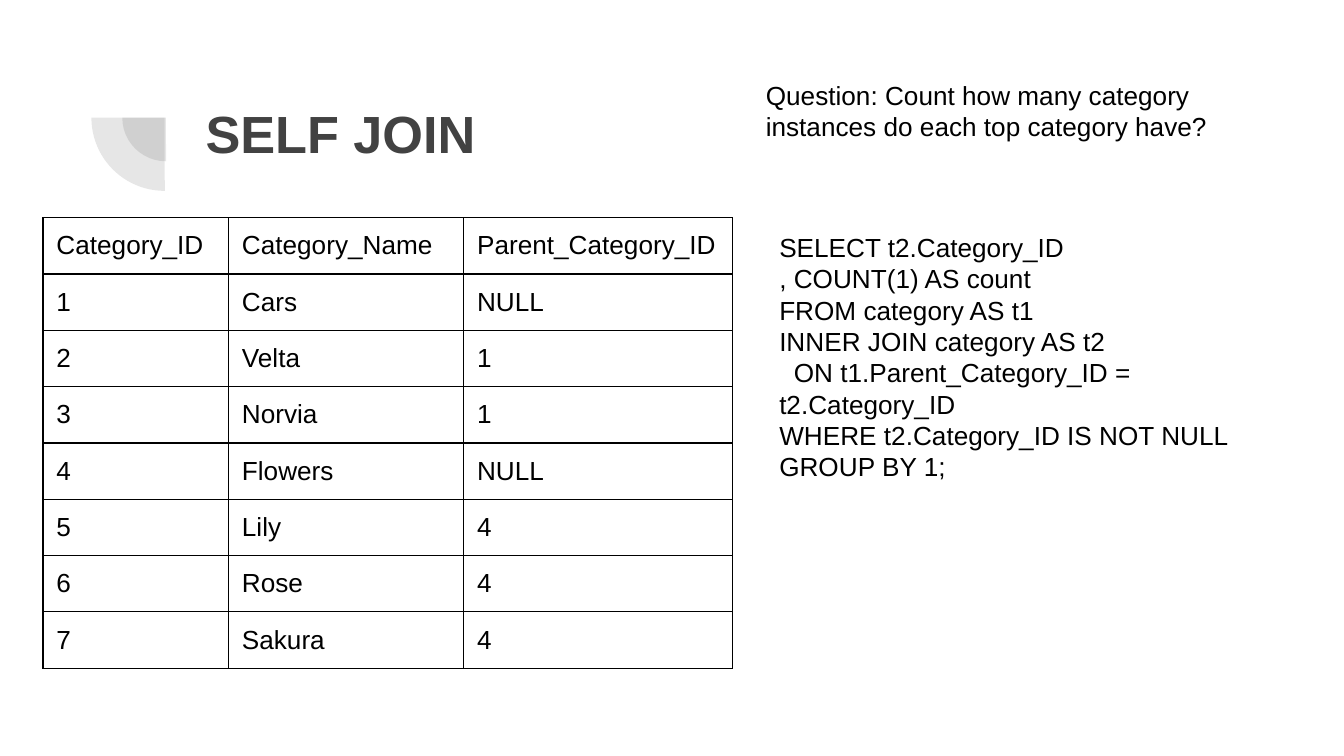
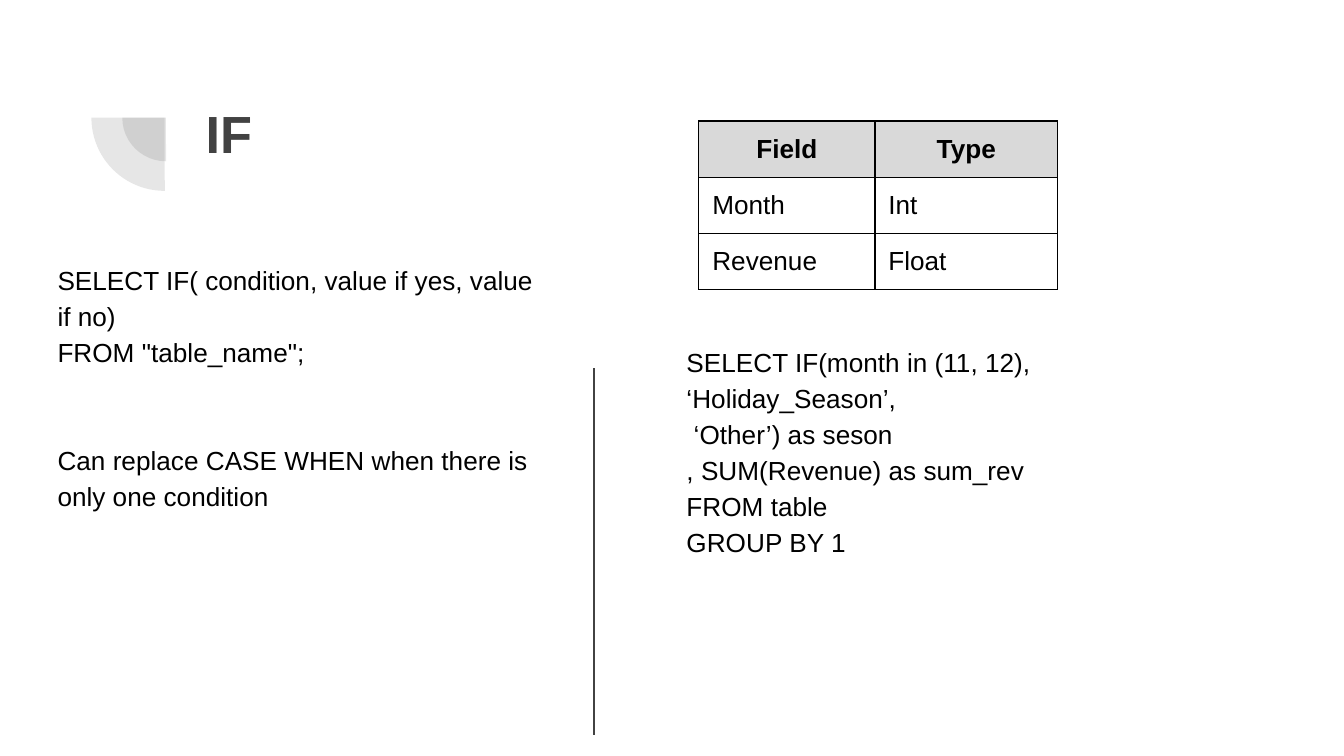
import dataclasses
import typing

import lxml.etree
import pptx
import pptx.dml.color
import pptx.enum.shapes
import pptx.enum.text
import pptx.oxml.ns
import pptx.presentation
import pptx.slide
import pptx.table
import pptx.text.text
import pptx.util

# Shared look
FONT = "Arial"
GREY, BLACK, WHITE, HEADER = "424242", "000000", "FFFFFF", "D9D9D9"
TITLE_SIZE, TEXT_SIZE = 28, 14
INSET = 1  # grid units
ROW_HEIGHT = 4.18
LOOSE = 1.15

# The slide is a grid of 100 columns by 56.25 rows of square units
WIDTH, HEIGHT = pptx.util.Inches(10), pptx.util.Inches(5.625)
UNIT = WIDTH / 100


@dataclasses.dataclass(frozen=True)
class Area:
    left: float
    top: float
    width: float
    height: float

    def lengths(self) -> tuple[int, int, int, int]:
        return grid(self.left), grid(self.top), grid(self.width), grid(self.height)


@dataclasses.dataclass(frozen=True)
class Line:
    text: str
    indent: float = 0  # first-line indent in grid units
    gap: float = 0  # points above


@dataclasses.dataclass(frozen=True)
class TextBlock:
    area: Area
    lines: tuple[Line, ...]
    spacing: float = 1.0


@dataclasses.dataclass(frozen=True)
class Grid:
    left: float
    top: float
    columns: tuple[float, ...]
    rows: tuple[tuple[str, ...], ...]
    shaded_header: bool = False


TITLE_AREA = Area(14.3, 6.5, 76.9, 10.9)
PIES = (Area(9.1, 5.5, 6.5, 6.5), Area(6.8, 3.3, 10.9, 10.9))


def grid(units: float) -> int:
    return round(units * UNIT)


def colour(value: str) -> pptx.dml.color.RGBColor:
    return pptx.dml.color.RGBColor.from_string(value)


def child(parent: typing.Any, tag: str, **attributes: str) -> typing.Any:
    element = lxml.etree.SubElement(parent, pptx.oxml.ns.qn(tag))
    for name, value in attributes.items():
        element.set(name, value)
    return element


def set_font(para: typing.Any, size: float, value: str, bold: bool = False) -> None:
    para.font.name = FONT
    para.font.size = pptx.util.Pt(size)
    para.font.bold = bold
    para.font.color.rgb = colour(value)


def set_frame(frame: pptx.text.text.TextFrame) -> None:
    frame.word_wrap = True
    frame.auto_size = pptx.enum.text.MSO_AUTO_SIZE.NONE
    frame.vertical_anchor = pptx.enum.text.MSO_ANCHOR.TOP
    frame.margin_left = frame.margin_right = grid(INSET)
    frame.margin_top = frame.margin_bottom = grid(INSET)


def add_pie(page: pptx.slide.Slide, area: Area) -> None:
    pie = page.shapes.add_shape(pptx.enum.shapes.MSO_SHAPE.PIE, *area.lengths())
    pie.adjustments[0], pie.adjustments[1] = 107.93, 162
    pie.rotation = 270
    pie.shadow.inherit = False
    pie.line.fill.background()
    pie.fill.solid()
    pie.fill.fore_color.rgb = colour(GREY)
    tint = pie.fill._xPr.find(".//" + pptx.oxml.ns.qn("a:srgbClr"))
    child(tint, "a:alpha", val="13000")


def add_page(deck: pptx.presentation.Presentation, heading: str) -> pptx.slide.Slide:
    page = deck.slides.add_slide(deck.slide_layouts[5])
    page.background.fill.solid()
    page.background.fill.fore_color.rgb = colour(WHITE)
    for area in PIES:
        add_pie(page, area)
    title = page.shapes.title
    title.left, title.top, title.width, title.height = TITLE_AREA.lengths()
    title.text_frame.text = heading
    set_frame(title.text_frame)
    para = title.text_frame.paragraphs[0]
    para.alignment = pptx.enum.text.PP_ALIGN.LEFT
    set_font(para, TITLE_SIZE, GREY, bold=True)
    return page


def add_text(page: pptx.slide.Slide, block: TextBlock) -> None:
    box = page.shapes.add_textbox(*block.area.lengths())
    frame = box.text_frame
    set_frame(frame)
    for index, line in enumerate(block.lines):
        para = frame.add_paragraph() if index else frame.paragraphs[0]
        para.text = line.text
        para.line_spacing = block.spacing
        para.space_before = pptx.util.Pt(line.gap)
        if line.indent:
            para._p.get_or_add_pPr().set("indent", str(grid(line.indent)))
        set_font(para, TEXT_SIZE, BLACK)


def add_borders(cell: pptx.table._Cell) -> None:
    properties = cell._tc.get_or_add_tcPr()
    for index, side in enumerate(("L", "R", "T", "B")):
        edge = child(properties, f"a:ln{side}", w=str(pptx.util.Pt(0.75)))
        child(child(edge, "a:solidFill"), "a:srgbClr", val=BLACK)
        properties.insert(index, edge)  # borders precede the fill


def add_table(page: pptx.slide.Slide, data: Grid) -> None:
    area = Area(data.left, data.top, sum(data.columns), ROW_HEIGHT * len(data.rows))
    table = page.shapes.add_table(len(data.rows), len(data.columns), *area.lengths()).table
    table.first_row = table.horz_banding = False
    for column, width in zip(table.columns, data.columns):
        column.width = grid(width)
    for row_index, texts in enumerate(data.rows):
        table.rows[row_index].height = grid(ROW_HEIGHT)
        header = data.shaded_header and row_index == 0
        for column_index, text in enumerate(texts):
            cell = table.cell(row_index, column_index)
            cell.text = text
            cell.margin_left = cell.margin_right = grid(INSET)
            cell.margin_top = cell.margin_bottom = grid(INSET)
            if header:
                cell.fill.solid()
                cell.fill.fore_color.rgb = colour(HEADER)
            else:
                cell.fill.background()
            add_borders(cell)
            para = cell.text_frame.paragraphs[0]
            if header:
                para.alignment = pptx.enum.text.PP_ALIGN.CENTER
            set_font(para, TEXT_SIZE, BLACK, bold=header)


def add_divider(page: pptx.slide.Slide, left: float, top: float, bottom: float) -> None:
    divider = page.shapes.add_connector(
        pptx.enum.shapes.MSO_CONNECTOR.STRAIGHT,
        grid(left), grid(top), grid(left), grid(bottom),
    )
    divider.line.color.rgb = colour(GREY)
    divider.line.width = pptx.util.Pt(0.75)
    child(divider._element.spPr, "a:effectLst")


# Self join slide
CATEGORIES = Grid(3.2, 16.2, (13.8, 17.5, 20), (
    ("Category_ID", "Category_Name", "Parent_Category_ID"),
    ("1", "Cars", "NULL"),
    ("2", "Velta", "1"),
    ("3", "Norvia", "1"),
    ("4", "Flowers", "NULL"),
    ("5", "Lily", "4"),
    ("6", "Rose", "4"),
    ("7", "Sakura", "4"),
))
QUESTION = TextBlock(Area(56, 4.9, 40.6, 7.5), (
    Line("Question: Count how many category instances do each top category have?"),
))
JOIN_QUERY = TextBlock(Area(57, 16.2, 40.6, 23.6), (
    Line("SELECT t2.Category_ID"),
    Line(", COUNT(1) AS count"),
    Line("FROM category AS t1"),
    Line("INNER JOIN category AS t2"),
    Line("ON t1.Parent_Category_ID = t2.Category_ID", indent=1.08),
    Line("WHERE t2.Category_ID IS NOT NULL"),
    Line("GROUP BY 1;"),
))

# IF slide
IF_SYNTAX = TextBlock(Area(3.3, 18.3, 37.7, 37.4), (
    Line("SELECT IF( condition, value if yes, value if no)"),
    Line('FROM "table_name";'),
    Line("Can replace CASE WHEN when there is only one condition", gap=38.5),
), LOOSE)
IF_QUERY = TextBlock(Area(50.1, 24.4, 37.7, 28), (
    Line("SELECT IF(month in (11, 12), ‘Holiday_Season’,"),
    Line("‘Other’) as seson", indent=0.54),
    Line(", SUM(Revenue) as sum_rev"),
    Line("FROM table"),
    Line("GROUP BY 1"),
), LOOSE)
FIELDS = Grid(52, 9, (13.1, 13.6), (
    ("Field", "Type"),
    ("Month", "Int"),
    ("Revenue", "Float"),
), shaded_header=True)


def main() -> None:
    deck = pptx.Presentation()
    deck.slide_width, deck.slide_height = WIDTH, HEIGHT

    join_page = add_page(deck, "SELF JOIN")
    add_table(join_page, CATEGORIES)
    add_text(join_page, QUESTION)
    add_text(join_page, JOIN_QUERY)

    if_page = add_page(deck, "IF")
    add_text(if_page, IF_SYNTAX)
    add_text(if_page, IF_QUERY)
    add_divider(if_page, 44.2, 27.4, 54.7)
    add_table(if_page, FIELDS)

    deck.save("out.pptx")


if __name__ == "__main__":
    main()
